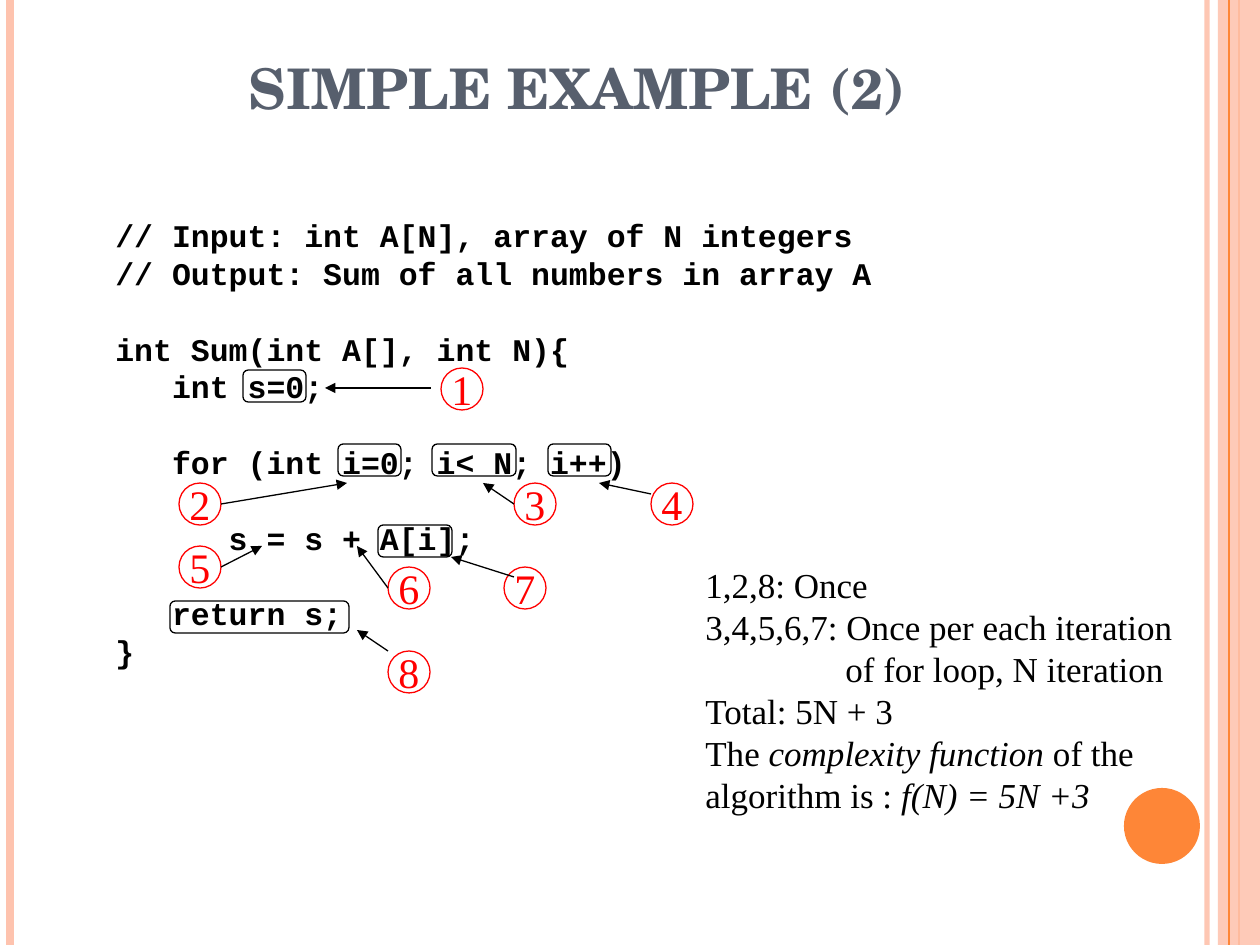
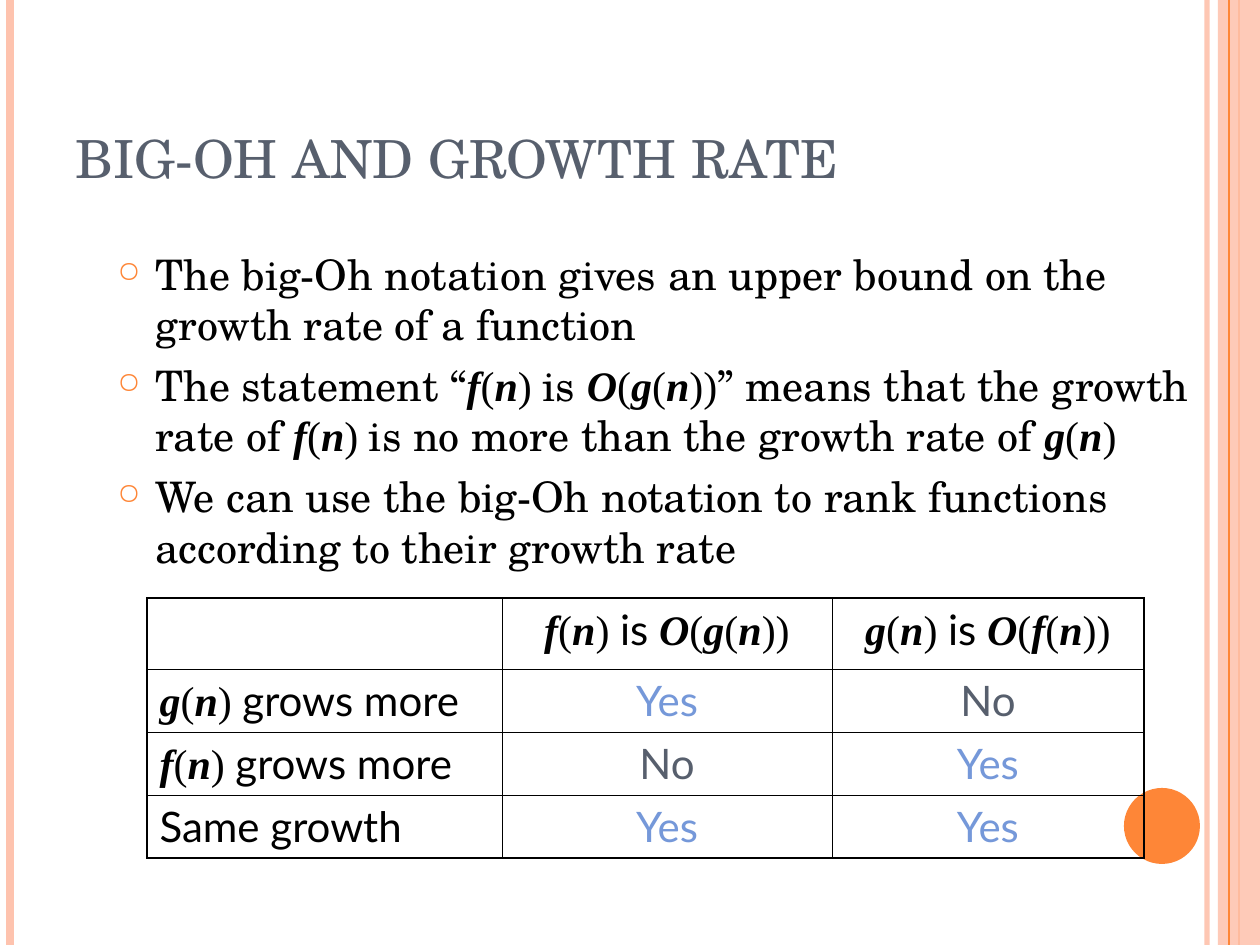
import itertools

import pptx
import pptx.dml.color
import pptx.enum.shapes
import pptx.enum.text
import pptx.oxml
import pptx.oxml.ns
import pptx.util
from lxml import etree

RGBColor = pptx.dml.color.RGBColor
ALIGN = pptx.enum.text.PP_ALIGN
ANCHOR = pptx.enum.text.MSO_ANCHOR
SHAPE = pptx.enum.shapes.MSO_SHAPE
qn = pptx.oxml.ns.qn

ORANGE = RGBColor(0xFE, 0x86, 0x37)
PEACH = RGBColor(0xFE, 0xC3, 0xAE)
SLATE = RGBColor(0x57, 0x5F, 0x6D)
BLUE = RGBColor(0x75, 0x98, 0xD9)
RED = RGBColor(0xFF, 0x00, 0x00)
BLACK = RGBColor(0x00, 0x00, 0x00)

SERIF = "TeX Gyre Schola"
TIMES = "Times New Roman"
MONO = "Courier New"
SANS = "Lato"

PX_PER_INCH = 126
SLIDE_WIDTH, SLIDE_HEIGHT = 1260, 945
TITLE_BOX = (63, 38, 1029, 157)


def px(length):
    return pptx.util.Emu(round(length * 914400 / PX_PER_INCH))


# ---- shared helpers ----
def add_run(paragraph, text, font, size, color=BLACK, bold=False, italic=False):
    run = paragraph.add_run()
    run.text = text
    run.font.name = font
    run.font.size = pptx.util.Pt(size)
    run.font.color.rgb = color
    run.font.bold = bold
    run.font.italic = italic


def add_math_text(paragraph, text, font, color=BLACK):
    """Parts between $ signs are formulas: Times, letters bold italic."""
    for index, part in enumerate(text.split("$")):
        if index % 2 == 0:
            if part:
                add_run(paragraph, part, font, 24, color)
            continue
        for is_letter, letters in itertools.groupby(part, str.isalpha):
            add_run(paragraph, "".join(letters), TIMES, 24, color, is_letter, is_letter)


def next_paragraph(frame, index):
    return frame.add_paragraph() if index else frame.paragraphs[0]


def set_alpha(element, percent):
    color = next(element.iter(qn("a:srgbClr")))
    etree.SubElement(color, qn("a:alpha"), val=str(percent * 1000))


def add_line(slide, start, end, color, width, arrow=False, alpha=None):
    line = slide.shapes.add_connector(
        pptx.enum.shapes.MSO_CONNECTOR.STRAIGHT, *map(px, (*start, *end)))
    line.line.color.rgb = color
    line.line.width = pptx.util.Pt(width)
    properties = line.line._get_or_add_ln()
    if alpha:
        set_alpha(properties, alpha)
    if arrow:
        etree.SubElement(properties, qn("a:tailEnd"), type="triangle")
    etree.SubElement(properties.getparent(), qn("a:effectLst"))


def add_shape(slide, kind, box, fill=None, outline=None):
    shape = slide.shapes.add_shape(kind, *map(px, box))
    shape.shadow.inherit = False
    if fill is None:
        shape.fill.background()
    else:
        shape.fill.solid()
        shape.fill.fore_color.rgb = fill
    if outline is None:
        shape.line.fill.background()
    else:
        shape.line.color.rgb = outline
        shape.line.width = pptx.util.Pt(0.75)
    return shape


def add_text_frame(slide, box, wrap):
    frame = slide.shapes.add_textbox(*map(px, box)).text_frame
    frame.word_wrap = wrap
    return frame


def add_decoration(slide):
    def rule(x, color, width, alpha=None):
        add_line(slide, (x, 0), (x, SLIDE_HEIGHT), color, width, alpha=alpha)

    rule(1207, PEACH, 3, alpha=93)
    rule(10, PEACH, 4.5)
    rule(1239, ORANGE, 1.5)
    band = add_shape(slide, SHAPE.RECTANGLE, (1218, 0, 42, SLIDE_HEIGHT), PEACH)
    set_alpha(band.fill._xPr, 87)
    rule(1229, ORANGE, 0.75)
    add_shape(slide, SHAPE.OVAL, (1124, 788, 76, 76), ORANGE)


def add_slide(presentation, title, size, align, bold=False, space_below=6):
    slide = presentation.slides.add_slide(presentation.slide_layouts[5])
    add_decoration(slide)
    shape = slide.shapes.title
    shape.left, shape.top, shape.width, shape.height = map(px, TITLE_BOX)
    frame = shape.text_frame
    frame.vertical_anchor = ANCHOR.BOTTOM
    frame.margin_bottom = px(space_below)
    paragraph = frame.paragraphs[0]
    paragraph.alignment = align
    add_run(paragraph, title, SERIF, size, SLATE, bold)
    return slide


# ---- code example ----
# (line, is there a one-line gap above it)
CODE = [
    ("// Input: int A[N], array of N integers", False),
    ("// Output: Sum of all numbers in array A", False),
    ("int Sum(int A[], int N){", True),
    ("   int s=0;", False),
    ("   for (int i=0; i< N; i++)", True),
    ("      s = s + A[i];", True),
    ("   return s;", True),
    ("}", False),
]
# left, top, width of each framed expression
FRAMES = [(67, 391, 179), (140, 160, 63), (235, 234, 63),
          (275, 315, 74), (329, 234, 84), (445, 234, 63)]
# circle left and top, arrow start, arrow end, numbered from 1
CALLOUTS = [
    ((338, 158), (328, 178), (222, 178)),
    ((76, 273), (118, 294), (244, 273)),
    ((411, 273), (411, 294), (380, 273)),
    ((548, 273), (548, 284), (496, 273)),
    ((76, 336), (118, 357), (159, 336)),
    ((285, 357), (285, 378), (254, 336)),
    ((401, 357), (411, 367), (348, 347)),
    ((285, 441), (285, 441), (254, 420)),
]
# text between | signs is italic
COST_NOTES = [
    "1,2,8: Once",
    "3,4,5,6,7: Once per each iteration",
    "of for loop, N iteration",
    "Total: 5N + 3",
    "The |complexity function| of the",
    "algorithm is : |f(N) = 5N +3|",
]


def add_code(slide, box):
    frame = add_text_frame(slide, box, wrap=False)
    for index, (line, gap) in enumerate(CODE):
        paragraph = next_paragraph(frame, index)
        if gap:
            paragraph.space_before = pptx.util.Pt(21.6)
        add_run(paragraph, line, MONO, 18, bold=True)


def add_callouts(slide, box):
    left, top = box[:2]

    def place(point):
        return left + point[0], top + point[1]

    for x, y, width in FRAMES:
        add_shape(slide, SHAPE.ROUNDED_RECTANGLE,
                  (*place((x, y)), width, 32), outline=BLACK)
    for number, (corner, start, end) in enumerate(CALLOUTS, 1):
        circle = add_shape(slide, SHAPE.OVAL, (*place(corner), 42, 42), outline=RED)
        frame = circle.text_frame
        frame.word_wrap = False
        frame.vertical_anchor = ANCHOR.MIDDLE
        paragraph = frame.paragraphs[0]
        paragraph.alignment = ALIGN.CENTER
        add_run(paragraph, str(number), TIMES, 24, RED)
        add_line(slide, place(start), place(end), BLACK, 0.75, arrow=True)


def add_cost_notes(slide, box):
    frame = add_text_frame(slide, box, wrap=False)
    for index, line in enumerate(COST_NOTES):
        paragraph = next_paragraph(frame, index)
        if line.startswith("of for"):
            paragraph._p.get_or_add_pPr().set("marL", str(px(140)))
        for part_index, part in enumerate(line.split("|")):
            if part:
                add_run(paragraph, part, TIMES, 20, italic=part_index % 2 == 1)


def build_code_slide(presentation):
    slide = add_slide(presentation, "SIMPLE EXAMPLE (2)", 32, ALIGN.CENTER,
                      bold=True, space_below=74)
    code_box = (103, 210, 781, 504)
    add_code(slide, code_box)
    add_callouts(slide, code_box)
    add_cost_notes(slide, (693, 557, 493, 265))


# ---- growth rate ----
BULLETS = [
    "The big-Oh notation gives an upper bound on the growth rate of a function",
    "The statement “$f(n) $is $O(g(n))$” means that the growth rate of "
    "$f(n) $is no more than the growth rate of $g(n)$",
    "We can use the big-Oh notation to rank functions according to their growth rate",
]
GROWTH_ROWS = [
    ("", "$f(n) $is $O(g(n))$", "$g(n) $is $O(f(n))$"),
    ("$g(n) $grows more", "Yes", "No"),
    ("$f(n) $grows more", "No", "Yes"),
    ("Same growth", "Yes", "Yes"),
]
ANSWER_COLORS = {"Yes": BLUE, "No": SLATE}
COLUMN_WIDTHS = (355, 330, 312)
ROW_HEIGHTS = (71, 63, 63, 63)


def add_bullets(slide, box):
    frame = add_text_frame(slide, box, wrap=True)
    for index, text in enumerate(BULLETS):
        paragraph = next_paragraph(frame, index)
        properties = paragraph._p.get_or_add_pPr()
        properties.set("marL", str(px(38)))
        properties.set("indent", str(px(-38)))
        if index:
            paragraph.space_before = pptx.util.Pt(6)
        color = etree.SubElement(properties, qn("a:buClr"))
        etree.SubElement(color, qn("a:srgbClr"), val=str(ORANGE))
        etree.SubElement(properties, qn("a:buSzPct"), val="70000")
        etree.SubElement(properties, qn("a:buChar"), char="○")
        add_math_text(paragraph, text, SERIF)


def set_borders(cell, outer_sides):
    properties = cell._tc.get_or_add_tcPr()
    for position, (side, is_outer) in enumerate(zip("LRTB", outer_sides)):
        width = pptx.util.Pt(1.08 if is_outer else 0.45)
        border = etree.Element(qn(f"a:ln{side}"), w=str(width))
        fill = etree.SubElement(border, qn("a:solidFill"))
        etree.SubElement(fill, qn("a:srgbClr"), val=str(BLACK))
        properties.insert(position, border)


def add_growth_table(slide, box):
    row_count, column_count = len(ROW_HEIGHTS), len(COLUMN_WIDTHS)
    table = slide.shapes.add_table(row_count, column_count, *map(px, box)).table
    table.first_row = table.horz_banding = False
    for column, width in zip(table.columns, COLUMN_WIDTHS):
        column.width = px(width)
    for row, height in zip(table.rows, ROW_HEIGHTS):
        row.height = px(height)
    for row, texts in enumerate(GROWTH_ROWS):
        for column, text in enumerate(texts):
            cell = table.cell(row, column)
            cell.fill.background()
            set_borders(cell, (column == 0, column == column_count - 1,
                               row == 0, row == row_count - 1))
            paragraph = cell.text_frame.paragraphs[0]
            paragraph.alignment = ALIGN.CENTER if column else ALIGN.LEFT
            add_math_text(paragraph, text, SANS, ANSWER_COLORS.get(text, BLACK))


def build_growth_slide(presentation):
    slide = add_slide(presentation, "BIG-OH AND GROWTH RATE", 30, ALIGN.LEFT)
    add_bullets(slide, (105, 242, 1103, 357))
    add_growth_table(slide, (147, 598, sum(COLUMN_WIDTHS), sum(ROW_HEIGHTS)))


def main():
    presentation = pptx.Presentation()
    presentation.slide_width = px(SLIDE_WIDTH)
    presentation.slide_height = px(SLIDE_HEIGHT)
    build_code_slide(presentation)
    build_growth_slide(presentation)
    presentation.save("out.pptx")


if __name__ == "__main__":
    main()
